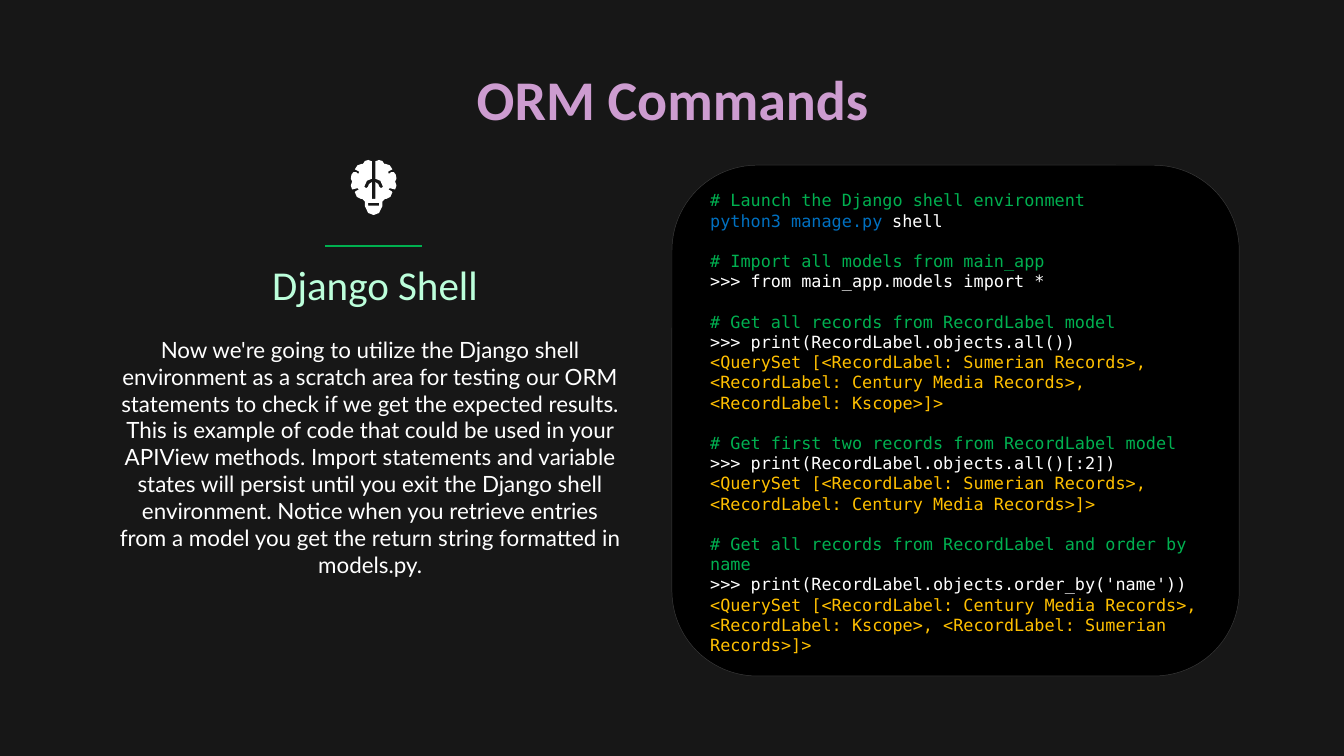
from dataclasses import dataclass

from lxml.etree import SubElement
from pptx import Presentation
from pptx.dml.color import RGBColor
from pptx.enum.shapes import MSO_CONNECTOR, MSO_SHAPE
from pptx.enum.text import MSO_ANCHOR, MSO_AUTO_SIZE, PP_ALIGN
from pptx.oxml.ns import qn
from pptx.slide import Slide
from pptx.util import Inches, Pt

HUES = {
    "back": "171717", "black": "000000", "white": "FFFFFF", "gray": "808080",
    "green": "00B050", "blue": "0070C0", "gold": "FFC000",
    "pink": "CD9CD0", "mint": "BCFFDB", "sky": "9CCAED",
}


@dataclass
class Label:
    text: str
    box: tuple[float, float, float, float]
    font: str
    size: int
    hues: tuple[str, ...]
    bold: bool = False
    anchor: MSO_ANCHOR = MSO_ANCHOR.TOP


@dataclass
class Block:
    note: str
    call: tuple[tuple[str, str], ...]
    reply: str = ""


TITLE = Label("ORM Commands", (0.79, 0.38, 8.43, 0.63), "Calibri", 30,
              ("pink", "sky"), bold=True)
LABELS = [
    Label("Django Shell", (1.6, 1.88, 2.38, 0.52), "Calibri", 22,
          ("mint", "sky"), anchor=MSO_ANCHOR.BOTTOM),
    Label("Now we're going to utilize the Django shell environment as a scratch "
          "area for testing our ORM statements to check if we get the expected "
          "results. This is example of code that could be used in your APIView "
          "methods. Import statements and variable states will persist until you "
          "exit the Django shell environment. Notice when you retrieve entries "
          "from a model you get the return string formatted in models.py.",
          (0.79, 2.4, 3.93, 2.63), "Lato", 12, ("white",)),
]
BLOCKS = [
    Block("# Launch the Django shell environment",
          (("python3 manage.py ", "blue"), ("shell", "white"))),
    Block("# Import all models from main_app",
          ((">>> from main_app.models import *", "white"),)),
    Block("# Get all records from RecordLabel model",
          ((">>> print(RecordLabel.objects.all())", "white"),),
          "<QuerySet [<RecordLabel: Sumerian Records>, "
          "<RecordLabel: Century Media Records>, <RecordLabel: Kscope>]>"),
    Block("# Get first two records from RecordLabel model",
          ((">>> print(RecordLabel.objects.all()[:2])", "white"),),
          "<QuerySet [<RecordLabel: Sumerian Records>, "
          "<RecordLabel: Century Media Records>]>"),
    Block("# Get all records from RecordLabel and order by name",
          ((">>> print(RecordLabel.objects.order_by('name'))", "white"),),
          "<QuerySet [<RecordLabel: Century Media Records>, "
          "<RecordLabel: Kscope>, <RecordLabel: Sumerian Records>]>"),
]
BRAIN = [
    (0, 410), (40, 395), (65, 345), (65, 310), (85, 290), (95, 290), (125, 275),
    (140, 240), (130, 230), (110, 220), (120, 210), (160, 220), (170, 190),
    (160, 160), (170, 140), (165, 110), (150, 90), (130, 90), (120, 100),
    (110, 100), (110, 85), (140, 70), (120, 40), (90, 30), (80, 30), (65, 8),
    (40, 0), (13, 10), (13, 140), (50, 155), (70, 200), (55, 210), (42, 200),
    (35, 180), (13, 165), (13, 290),
]
MOUTH = [(40, 320), (40, 340)]


def tint(name: str) -> RGBColor:
    return RGBColor.from_string(HUES[name])


def fill(item, name: str) -> None:
    item.fill.solid()
    item.fill.fore_color.rgb = tint(name)


def place(shape, label: Label) -> None:
    shape.left, shape.top, shape.width, shape.height = map(Inches, label.box)
    frame = shape.text_frame
    frame.text = label.text
    frame.word_wrap = True
    frame.auto_size = MSO_AUTO_SIZE.NONE
    frame.vertical_anchor = label.anchor
    frame.margin_left = frame.margin_right = Inches(0.1)
    frame.margin_top = frame.margin_bottom = Inches(0.1)
    line = frame.paragraphs[0]
    line.alignment = PP_ALIGN.CENTER
    font = line.runs[0].font
    font.name, font.size, font.bold = label.font, Pt(label.size), label.bold
    if len(label.hues) == 1:
        fill(font, label.hues[0])
        return
    font.fill.gradient()
    font.fill.gradient_angle = 0
    for stop, hue in zip(font.fill.gradient_stops, label.hues):
        stop.color.rgb = tint(hue)


def draw_rule(slide: Slide) -> None:
    rule = slide.shapes.add_connector(
        MSO_CONNECTOR.STRAIGHT, Inches(2.42), Inches(1.83), Inches(3.14), Inches(1.83))
    rule.line.color.rgb = tint("green")
    rule.line.width = Pt(1.5)
    SubElement(rule.element.spPr, qn("a:effectLst"))


def mirror(half: list[tuple[int, int]]) -> list[tuple[int, int]]:
    return [(-x, y) for x, y in half] + half[::-1]


def draw_icon(slide: Slide) -> None:
    head, mouth = mirror(BRAIN), mirror(MOUTH)
    path = slide.shapes.build_freeform(*head[0], scale=Inches(0.001))
    path.add_line_segments(head[1:])
    path.move_to(*mouth[0])
    path.add_line_segments(mouth[1:])
    icon = path.convert_to_shape(Inches(2.78), Inches(1.19))
    icon.shadow.inherit = False
    fill(icon, "white")
    icon.line.fill.background()


def draw_code(slide: Slide) -> None:
    panel = slide.shapes.add_shape(
        MSO_SHAPE.ROUNDED_RECTANGLE, Inches(5), Inches(1.23), Inches(4.22), Inches(3.8))
    panel.shadow.inherit = False
    fill(panel, "black")
    panel.line.width = Pt(0.25)
    panel.line.color.rgb = tint("gray")
    edge = panel.element.spPr.find(f"{qn('a:ln')}/{qn('a:solidFill')}")[0]
    SubElement(edge, qn("a:alpha"), val="40000")
    frame = panel.text_frame
    frame.word_wrap = True
    frame.vertical_anchor = MSO_ANCHOR.TOP
    frame.margin_left = frame.margin_right = Inches(0.1)
    frame.margin_top, frame.margin_bottom = 0, Inches(0.05)
    rows = []
    for block in BLOCKS:
        rows += [((block.note, "green"),), block.call]
        if block.reply:
            rows.append(((block.reply, "gold"),))
    for num, row in enumerate(rows):
        line = frame.add_paragraph() if num else frame.paragraphs[0]
        line.alignment = PP_ALIGN.LEFT
        if num and row[0][1] == "green":
            line.space_before = Pt(10.8)
        for text, hue in row:
            run = line.add_run()
            run.text = text
            run.font.name, run.font.size = "DejaVu Sans Mono", Pt(9)
            run.font.color.rgb = tint(hue)


def main() -> None:
    deck = Presentation()
    deck.slide_width = Inches(10)
    deck.slide_height = deck.slide_width * 9 // 16
    slide = deck.slides.add_slide(deck.slide_layouts[5])
    fill(slide.background, "back")
    place(slide.shapes.title, TITLE)
    draw_rule(slide)
    draw_icon(slide)
    draw_code(slide)
    for label in LABELS:
        place(slide.shapes.add_textbox(0, 0, 0, 0), label)
    deck.save("out.pptx")


if __name__ == "__main__":
    main()
